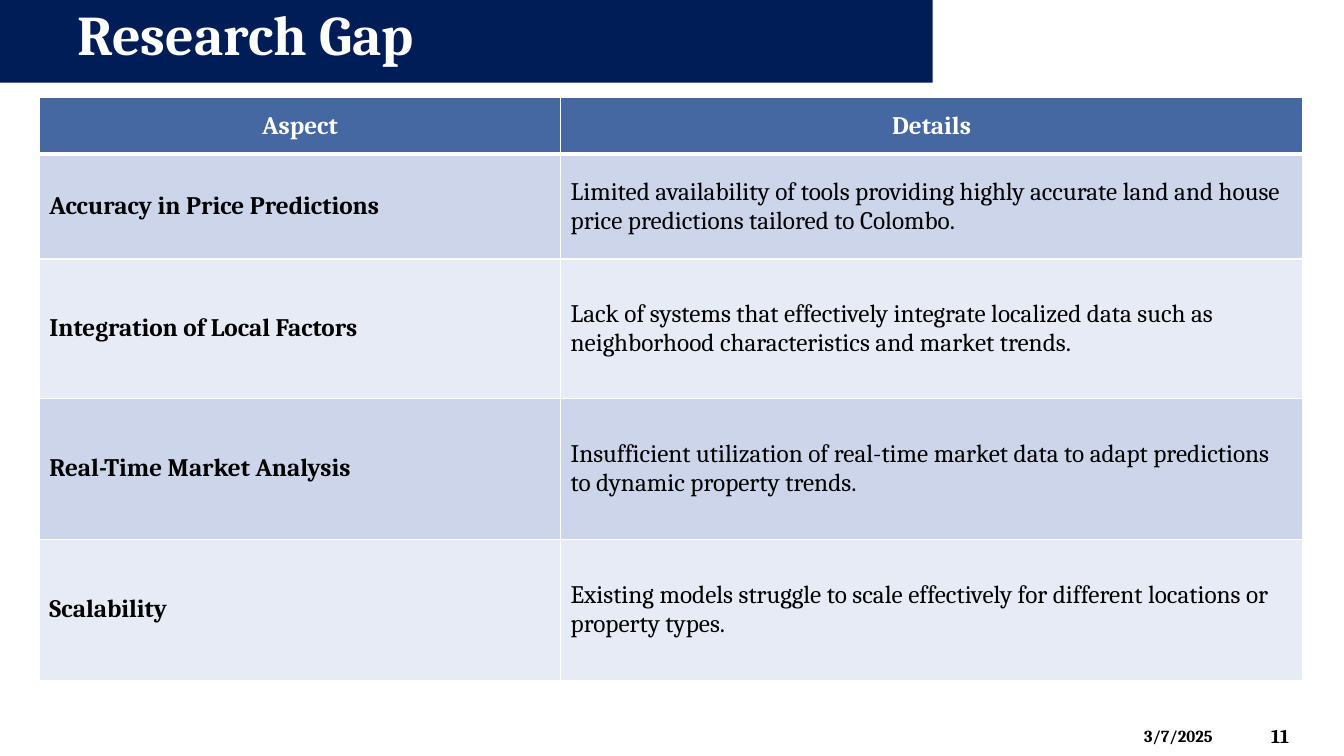
"""Build the Research Gap slide: title band, aspect table and footer."""
from lxml.etree import SubElement
from pptx import Presentation
from pptx.dml.color import RGBColor
from pptx.enum.shapes import MSO_SHAPE
from pptx.enum.text import MSO_ANCHOR, MSO_AUTO_SIZE, PP_ALIGN
from pptx.oxml.ns import qn
from pptx.util import Pt

PX = 9144
THEME = {
    "font": "Cambria",
    "navy": RGBColor.from_string("001D58"),
    "header": RGBColor.from_string("4668A2"),
    "bands": [RGBColor.from_string("CCD5EA"), RGBColor.from_string("E7EBF5")],
    "white": RGBColor.from_string("FFFFFF"),
    "black": RGBColor.from_string("000000"),
    "title": Pt(40), "body": Pt(18), "number": Pt(14), "date": Pt(12),
}
ROWS = [
    ("Aspect", "Details"),
    ("Accuracy in Price Predictions",
     "Limited availability of tools providing highly accurate land and house "
     "price predictions tailored to Colombo."),
    ("Integration of Local Factors",
     "Lack of systems that effectively integrate localized data such as "
     "neighborhood characteristics and market trends."),
    ("Real-Time Market Analysis",
     "Insufficient utilization of real-time market data to adapt predictions "
     "to dynamic property trends."),
    ("Scalability",
     "Existing models struggle to scale effectively for different locations "
     "or property types."),
]
COL_WIDTHS = [517, 736]
ROW_HEIGHTS = [56, 104, 138, 140, 140]


def write(tf, text, size, color, bold=True, align=PP_ALIGN.LEFT):
    tf.word_wrap = True
    p = tf.paragraphs[0]
    p.alignment = align
    r = p.add_run()
    r.text = text
    style = {"name": THEME["font"], "size": THEME[size], "bold": bold}
    for key, value in style.items():
        setattr(r.font, key, value)
    r.font.color.rgb = THEME[color]


def add_borders(cell, widths):
    tcPr = cell._tc.get_or_add_tcPr()
    for side, width in widths.items():
        ln = SubElement(tcPr, qn(f"a:ln{side}"), w=str(Pt(width)))
        fill = SubElement(ln, qn("a:solidFill"))
        SubElement(fill, qn("a:srgbClr"), val=str(THEME["white"]))


prs = Presentation()
prs.slide_width, prs.slide_height = 1333 * PX, 750 * PX
s = prs.slides.add_slide(prs.slide_layouts[5])

band = s.shapes.add_shape(MSO_SHAPE.RECTANGLE, -8 * PX, -10 * PX, 933 * PX, 92 * PX)
band.shadow.inherit = False
band.fill.solid()
band.fill.fore_color.rgb = THEME["navy"]
band.line.fill.background()
s.shapes._spTree.insert(2, band._element)

title = s.shapes.title
box = {"left": -92, "top": -6, "width": 671, "height": 77}
for key, value in box.items():
    setattr(title, key, value * PX)
title.text_frame.auto_size = MSO_AUTO_SIZE.NONE
title.text_frame.vertical_anchor = MSO_ANCHOR.TOP
write(title.text_frame, "Research Gap", "title", "white", align=PP_ALIGN.CENTER)

table = s.shapes.add_table(len(ROWS), len(COL_WIDTHS), 39 * PX, 97 * PX,
                           sum(COL_WIDTHS) * PX, sum(ROW_HEIGHTS) * PX).table
for col, width in zip(table.columns, COL_WIDTHS):
    col.width = width * PX
for i, (row, height, texts) in enumerate(zip(table.rows, ROW_HEIGHTS, ROWS)):
    row.height = height * PX
    is_header = i == 0
    for j, (cell, text) in enumerate(zip(row.cells, texts)):
        add_borders(cell, {"L": 1, "R": 1, "T": 3 if i == 1 else 1,
                           "B": 3 if is_header else 1})
        cell.fill.solid()
        cell.fill.fore_color.rgb = THEME["header"] if is_header else THEME["bands"][(i - 1) % 2]
        cell.vertical_anchor = MSO_ANCHOR.MIDDLE
        write(cell.text_frame, text, "body", "white" if is_header else "black",
              bold=is_header or j == 0,
              align=PP_ALIGN.CENTER if is_header else PP_ALIGN.LEFT)

FOOTER = [
    ("3/7/2025", "date", (1125, 715, 117, 30), MSO_ANCHOR.TOP),
    ("11", "number", (1251, 710, 74, 40), MSO_ANCHOR.MIDDLE),
]
for text, size, place, anchor in FOOTER:
    tf = s.shapes.add_textbox(*(v * PX for v in place)).text_frame
    tf.vertical_anchor = anchor
    write(tf, text, size, "black")

prs.save("out.pptx")
